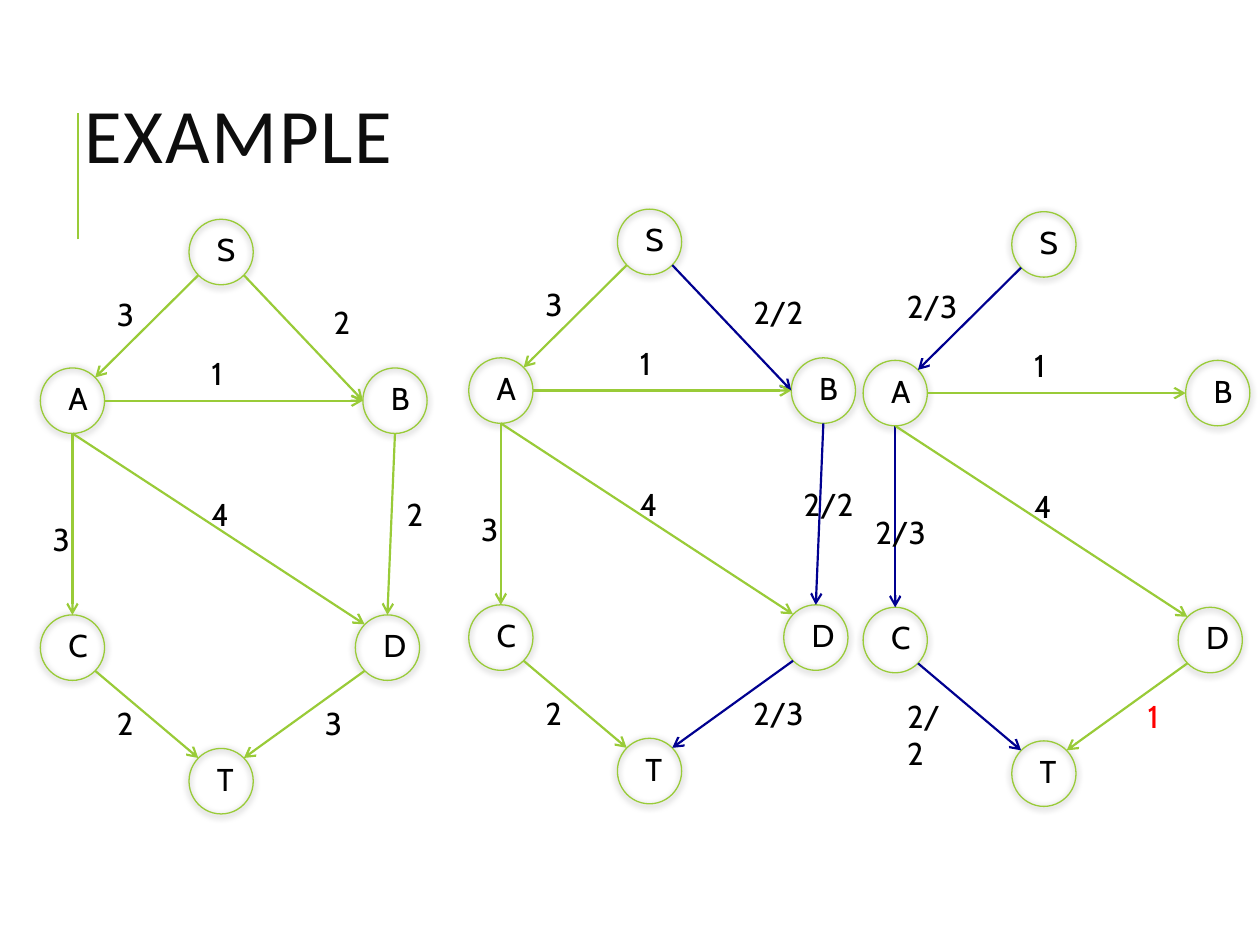
from dataclasses import dataclass

import pptx
import pptx.dml.color
import pptx.enum.shapes
import pptx.enum.text
import pptx.oxml
import pptx.oxml.ns
import pptx.util
from pptx.util import Inches


@dataclass(frozen=True)
class Theme:
    green: str = "99CB38"
    navy: str = "000090"
    red: str = "FF0000"
    black: str = "000000"
    title_color: str = "0D0D0D"
    title_font: str = "Calibri"
    body_font: str = "Cabin"
    title_size: int = 44
    body_size: int = 18
    rule_width: float = 1.5
    edge_width: float = 1.25
    node_width: float = 0.75


THEME = Theme()
NODE_W, NODE_H = 0.51, 0.52
DIAGONAL = 0.71

# Top left of each node, from the graph's origin
NODES = {
    "S": (1.18, 0), "B": (2.56, 1.18), "D": (2.5, 3.14),
    "C": (0, 3.14), "A": (0, 1.18), "T": (1.18, 4.2),
}

# Directions from a node's centre to its rim
SITES = {
    "top": (0, -1), "bottom": (0, 1), "left": (-1, 0), "right": (1, 0),
    "top left": (-DIAGONAL, -DIAGONAL), "top right": (DIAGONAL, -DIAGONAL),
    "bottom left": (-DIAGONAL, DIAGONAL), "bottom right": (DIAGONAL, DIAGONAL),
}

EDGES = {
    "SA": ("bottom left", "top right"),
    "SB": ("bottom right", "left"),
    "AB": ("right", "left"),
    "AC": ("bottom", "top"),
    "AD": ("bottom", "top left"),
    "BD": ("bottom", "top"),
    "CT": ("bottom right", "top left"),
    "DT": ("bottom left", "top right"),
}

CAPACITY_W = 0.34
# Label places: left for a capacity, left for a flow, top, width for a flow
LABELS = {
    "SA": (0.51, 0.25, 0.55, 0.7),
    "SB": (2.23, 2.16, 0.62, 0.82),
    "AB": (1.26, 1.26, 1.02, 0.7),
    "AC": (0, 0, 2.34, 0.84),
    "AD": (1.26, 1.26, 2.14, 0.7),
    "BD": (2.81, 2.56, 2.14, 0.73),
    "CT": (0.51, 0.25, 3.8, 0.59),
    "DT": (2.16, 2.16, 3.8, 0.77),
}

# Origin, edge labels, and edges whose label is red
GRAPHS = [
    ((0.32, 1.74), {"SA": "3", "SB": "2", "AB": "1", "AC": "3",
                    "AD": "4", "BD": "2", "CT": "2", "DT": "3"}, ""),
    ((3.72, 1.66), {"SA": "3", "SB": "2/2", "AB": "1", "AC": "3",
                    "AD": "4", "BD": "2/2", "CT": "2", "DT": "2/3"}, ""),
    ((6.85, 1.68), {"SA": "2/3", "AB": "1", "AC": "2/3",
                    "AD": "4", "CT": "2/2", "DT": "1"}, "DT"),
]


def rgb(color):
    return pptx.dml.color.RGBColor.from_string(color)


def set_font(r, name, size, color):
    for key, value in {"name": name, "size": pptx.util.Pt(size)}.items():
        setattr(r.font, key, value)
    r.font.color.rgb = rgb(color)


def set_line(shape, color, width):
    shape.line.color.rgb = rgb(color)
    shape.line.width = pptx.util.Pt(width)


def set_effects(shape, content=""):
    """Replace the theme's effects; with no content there are none."""
    ns = pptx.oxml.ns.nsdecls("a")
    xml = f"<a:effectLst {ns}>{content}</a:effectLst>"
    shape._element.spPr.append(pptx.oxml.parse_xml(xml))


def add_title(s, text):
    title = s.shapes.title
    box = {"left": 0.57, "top": 0.5, "width": 7.68, "height": 1.25}
    for key, value in box.items():
        setattr(title, key, Inches(value))
    tf = title.text_frame
    frame = {"word_wrap": True,
             "auto_size": pptx.enum.text.MSO_AUTO_SIZE.NONE,
             "vertical_anchor": pptx.enum.text.MSO_ANCHOR.MIDDLE}
    for key, value in frame.items():
        setattr(tf, key, value)
    p = tf.paragraphs[0]
    p.alignment = pptx.enum.text.PP_ALIGN.LEFT
    p.line_spacing = 0.8
    r = p.add_run()
    r.text = text
    set_font(r, THEME.title_font, THEME.title_size, THEME.title_color)
    r.font._element.set("spc", "100")


def add_line(shapes, start, end, color, width):
    line = shapes.add_connector(
        pptx.enum.shapes.MSO_CONNECTOR.STRAIGHT,
        *(Inches(v) for v in (*start, *end)))
    set_line(line, color, width)
    set_effects(line)
    return line


def add_arrow(shapes, start, end, color):
    arrow = add_line(shapes, start, end, color, THEME.edge_width)
    ns = pptx.oxml.ns.nsdecls("a")
    arrow.line._get_or_add_ln().append(
        pptx.oxml.parse_xml(f'<a:tailEnd {ns} type="arrow"/>'))


def add_label(shapes, text, left, top, width, color=THEME.black):
    box = shapes.add_textbox(*(Inches(v) for v in (left, top, width, 0.4)))
    tf = box.text_frame
    tf.word_wrap = True
    tf.auto_size = pptx.enum.text.MSO_AUTO_SIZE.SHAPE_TO_FIT_TEXT
    r = tf.paragraphs[0].add_run()
    r.text = text
    set_font(r, THEME.body_font, THEME.body_size, color)


def add_node(shapes, name, left, top):
    node = shapes.add_shape(
        pptx.enum.shapes.MSO_SHAPE.OVAL,
        *(Inches(v) for v in (left, top, NODE_W, NODE_H)))
    node.fill.background()
    set_line(node, THEME.green, THEME.node_width)
    set_effects(node, '<a:outerShdw blurRad="50800" dist="12700" dir="5400000" '
                      'rotWithShape="0"><a:srgbClr val="000000">'
                      '<a:alpha val="50000"/></a:srgbClr></a:outerShdw>')
    add_label(shapes, name, left + 0.17, top + 0.04, 0.15)


def rim_point(origin, name, site):
    """Point where an edge touches the given side of a node."""
    (x, y), (dx, dy) = NODES[name], SITES[site]
    return (origin[0] + x + NODE_W / 2 * (1 + dx),
            origin[1] + y + NODE_H / 2 * (1 + dy))


def add_graph(s, origin, labels, red_edges):
    shapes = s.shapes.add_group_shape().shapes
    x0, y0 = origin
    for name, (x, y) in NODES.items():
        add_node(shapes, name, x0 + x, y0 + y)
    for edge, text in labels.items():
        start, end = (rim_point(origin, name, site)
                      for name, site in zip(edge, EDGES[edge]))
        add_arrow(shapes, start, end, THEME.navy if "/" in text else THEME.green)
    for edge, text in labels.items():
        capacity_x, flow_x, y, flow_w = LABELS[edge]
        x, width = (flow_x, flow_w) if "/" in text else (capacity_x, CAPACITY_W)
        color = THEME.red if edge == red_edges else THEME.black
        add_label(shapes, text, x0 + x, y0 + y, width, color)


def main():
    prs = pptx.Presentation()
    prs.slide_width, prs.slide_height = Inches(10), Inches(7.5)
    s = prs.slides.add_slide(prs.slide_layouts[5])
    add_line(s.shapes, (0.62, 1.9), (0.62, 0.9), THEME.green, THEME.rule_width)
    add_title(s, "EXAMPLE")
    for origin, labels, red_edges in GRAPHS:
        add_graph(s, origin, labels, red_edges)
    prs.save("out.pptx")


if __name__ == "__main__":
    main()
